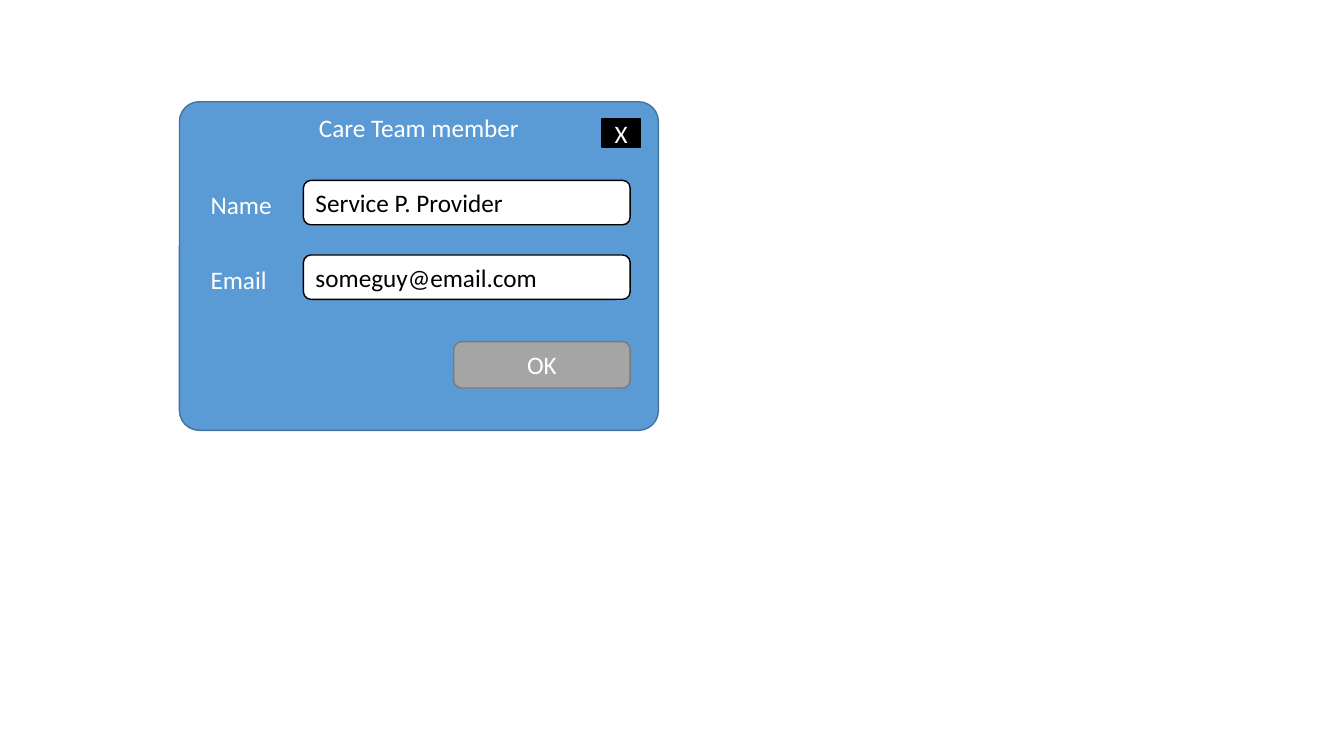
from pptx import Presentation
from pptx.dml.color import RGBColor
from pptx.enum.shapes import MSO_SHAPE
from pptx.enum.text import MSO_ANCHOR, MSO_AUTO_SIZE, PP_ALIGN
from pptx.util import Inches, Pt

COLORS = {
    "white": "FFFFFF", "black": "000000",
    "blue": "5B9BD5", "navy": "43739E",
    "gray": "A5A5A5", "edge": "7A7A7A",
}
FONT = {"name": "Calibri", "size": Pt(18)}

# Form grid: label and field columns, equal row pitch
LABEL, FIELD, RIGHT = 1.99, 3.01, 6.25
TOP, PITCH = 1.79, 0.74
ROWS = [("Name", "Service P. Provider", 0.81),
        ("Email", "someguy@email.com", 0.76)]


def color(name):
    return RGBColor.from_string(COLORS[name])


def write(frame, text, ink, align, **form):
    for key, value in form.items():
        setattr(frame, key, value)
    para = frame.paragraphs[0]
    para.alignment = align
    run = para.add_run()
    run.text = text
    for key, value in FONT.items():
        setattr(run.font, key, value)
    run.font.color.rgb = color(ink)


def box(slide, kind, area, fill, line, text, ink="white",
        align=PP_ALIGN.CENTER, anchor=MSO_ANCHOR.MIDDLE):
    shape = slide.shapes.add_shape(kind, *map(Inches, area))
    shape.shadow.inherit = False
    shape.fill.solid()
    shape.fill.fore_color.rgb = color(fill)
    shape.line.color.rgb = color(line)
    shape.line.width = Pt(1)
    write(shape.text_frame, text, ink, align,
          word_wrap=True, vertical_anchor=anchor)
    return shape


def label(slide, area, text):
    shape = slide.shapes.add_textbox(*map(Inches, area))
    write(shape.text_frame, text, "white", PP_ALIGN.LEFT,
          word_wrap=False, auto_size=MSO_AUTO_SIZE.SHAPE_TO_FIT_TEXT)


def main():
    deck = Presentation()
    deck.slide_width, deck.slide_height = Inches(13.33), Inches(7.5)
    slide = deck.slides.add_slide(deck.slide_layouts[6])
    round_box = MSO_SHAPE.ROUNDED_RECTANGLE

    # Dialog panel with its heading
    panel = box(slide, round_box, (1.78, 1.01, 4.75, 3.26), "blue", "navy",
                "Care Team member", anchor=MSO_ANCHOR.TOP)
    panel.adjustments[0] = 0.06

    # Form rows
    for row, (name, value, width) in enumerate(ROWS):
        top = TOP + row * PITCH
        box(slide, round_box, (FIELD, top, RIGHT - FIELD, 0.44), "white",
            "black", value, ink="black", align=PP_ALIGN.LEFT)
        label(slide, (LABEL, top + 0.04, width, 0.4), name)

    # Close and confirm buttons
    box(slide, MSO_SHAPE.RECTANGLE, (5.97, 1.18, 0.38, 0.28),
        "black", "black", "X")
    box(slide, round_box, (RIGHT - 1.75, 3.39, 1.75, 0.46),
        "gray", "edge", "OK")

    deck.save("out.pptx")


if __name__ == "__main__":
    main()
